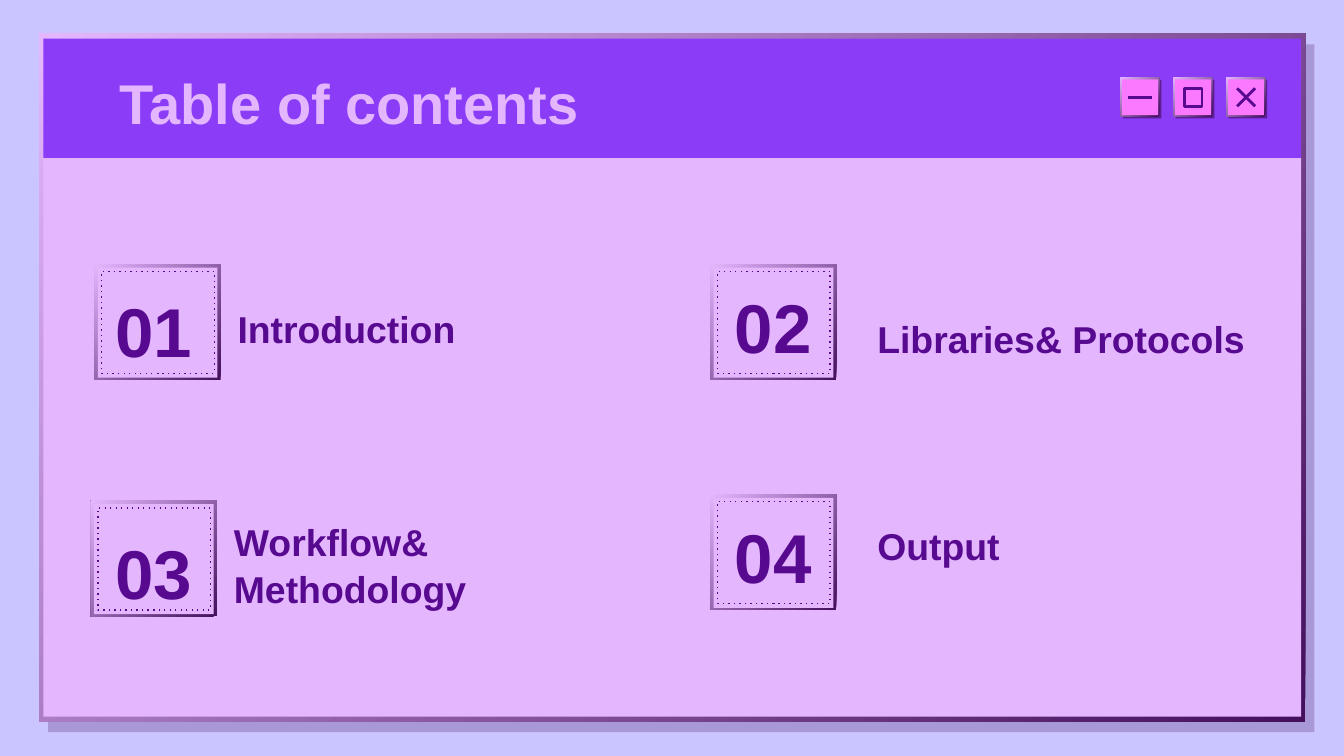
"""Build the table of contents slide, styled as a retro desktop window."""
from pptx import Presentation
from pptx.dml.color import RGBColor
from pptx.enum.dml import MSO_LINE
from pptx.enum.shapes import MSO_CONNECTOR, MSO_SHAPE
from pptx.enum.text import MSO_ANCHOR, PP_ALIGN
from pptx.oxml.ns import qn
from pptx.oxml.xmlchemy import OxmlElement
from pptx.util import Cm, Pt

RECT = MSO_SHAPE.RECTANGLE
LINE = MSO_CONNECTOR.STRAIGHT
DOT = MSO_LINE.ROUND_DOT
TOP, MID = MSO_ANCHOR.TOP, MSO_ANCHOR.MIDDLE
LEFT, CENTER = PP_ALIGN.LEFT, PP_ALIGN.CENTER

FONT = "Arial"
COLORS = {
    "page": "CAC4FF",
    "dark": "440F5C",
    "light": "E4B6FE",
    "bar": "8A3CF6",
    "ink": "570990",
    "pink": "FA79FF",
}

TITLE = "Table of contents"
ITEMS = [
    {"num": "01", "text": "Introduction", "card": (1.79, 5),
     "spot": (1.8, 5.13), "label": (4.24, 5.49, 6.5, 1.47)},
    {"num": "02", "text": "Libraries& Protocols", "card": (13.43, 5),
     "spot": (13.51, 5.05), "label": (16.33, 5.69, 7.49, 1.47)},
    {"num": "03", "text": "Workflow& Methodology", "card": (1.72, 9.47),
     "spot": (1.8, 9.7), "label": (4.17, 9.53, 6.93, 2.03)},
    {"num": "04", "text": "Output", "card": (13.43, 9.35),
     "spot": (13.51, 9.4), "label": (16.33, 9.6, 6.5, 1.47)},
]
BUTTONS = ["minus", "square", "cross"]
BUTTON_X, BUTTON_Y, STEP = 21.18, 1.47, 1


def rgb(name):
    return RGBColor.from_string(COLORS[name])


def box(slide, x, y, w, h, color=None, alpha=None):
    shape = slide.shapes.add_shape(RECT, Cm(x), Cm(y), Cm(w), Cm(h))
    shape.shadow.inherit = False
    shape.line.fill.background()
    if color is None:
        shape.fill.background()
        return shape
    shape.fill.solid()
    shape.fill.fore_color.rgb = rgb(color)
    if alpha is not None:
        node = OxmlElement("a:alpha")
        node.set("val", str(alpha * 1000))
        shape.element.spPr.find(".//" + qn("a:srgbClr")).append(node)
    return shape


def bevel(slide, x, y, w, h):
    shape = box(slide, x, y, w, h)
    shape.fill.gradient()
    shape.fill.gradient_angle = 135
    for stop, name, place in zip(shape.fill.gradient_stops, ("dark", "light"), (0, 1)):
        stop.color.rgb = rgb(name)
        stop.position = place


def outline(slide, x, y, w, h, width):
    shape = box(slide, x, y, w, h)
    shape.line.color.rgb = rgb("ink")
    shape.line.width = Pt(width)
    return shape


def stroke(slide, x1, y1, x2, y2):
    line = slide.shapes.add_connector(LINE, Cm(x1), Cm(y1), Cm(x2), Cm(y2))
    line.line.color.rgb = rgb("ink")
    line.line.width = Pt(1.5)
    line.element.spPr.append(OxmlElement("a:effectLst"))


def write(slide, x, y, w, h, text, size, color="ink", align=LEFT, anchor=TOP):
    frame = slide.shapes.add_textbox(Cm(x), Cm(y), Cm(w), Cm(h)).text_frame
    frame.word_wrap = True
    frame.vertical_anchor = anchor
    frame.margin_left = frame.margin_right = Cm(0.25)
    frame.margin_top = frame.margin_bottom = Cm(0.25)
    para = frame.paragraphs[0]
    para.alignment = align
    para.line_spacing = 1.05
    run = para.add_run()
    run.text = text
    run.font.name = FONT
    run.font.size = Pt(size)
    run.font.bold = True
    run.font.color.rgb = rgb(color)


def window(slide):
    box(slide, 0.91, 0.84, 23.93, 13, "dark", 24)
    bevel(slide, 0.74, 0.64, 23.93, 13)
    box(slide, 0.82, 0.73, 23.77, 2.26, "bar")
    box(slide, 0.82, 2.99, 23.77, 10.56, "light")
    write(slide, 2.01, 1.09, 21.08, 1.6, TITLE, 30, "light", anchor=MID)


def entry(slide, item):
    x, y = item["card"]
    bevel(slide, x, y, 2.38, 2.18)
    box(slide, x + 0.06, y + 0.06, 2.26, 2.08, "light")
    frame = outline(slide, x + 0.13, y + 0.13, 2.13, 1.93, 0.75)
    frame.line.dash_style = DOT
    frame.element.spPr.find(".//" + qn("a:prstDash")).set("val", "dot")
    write(slide, *item["spot"], 2.21, 1.65, item["num"], 37, align=CENTER)
    write(slide, *item["label"], item["text"], 20)


def button(slide, x, y, icon):
    box(slide, x + 0.04, y + 0.04, 0.73, 0.73, "dark", 65)
    bevel(slide, x, y, 0.73, 0.73)
    box(slide, x + 0.03, y + 0.03, 0.68, 0.68, "pink")
    near, far = 0.2, 0.54
    if icon == "minus":
        stroke(slide, x + 0.13, y + 0.37, x + 0.59, y + 0.37)
    elif icon == "square":
        outline(slide, x + near, y + near, far - near, far - near, 1.5)
    else:
        stroke(slide, x + near, y + near, x + far, y + far)
        stroke(slide, x + near, y + far, x + far, y + near)


def main():
    deck = Presentation()
    deck.slide_width, deck.slide_height = Cm(25.4), Cm(14.29)
    slide = deck.slides.add_slide(deck.slide_layouts[6])
    slide.background.fill.solid()
    slide.background.fill.fore_color.rgb = rgb("page")
    window(slide)
    for item in ITEMS:
        entry(slide, item)
    for i, icon in enumerate(BUTTONS):
        button(slide, BUTTON_X + i * STEP, BUTTON_Y, icon)
    deck.save("out.pptx")


if __name__ == "__main__":
    main()
